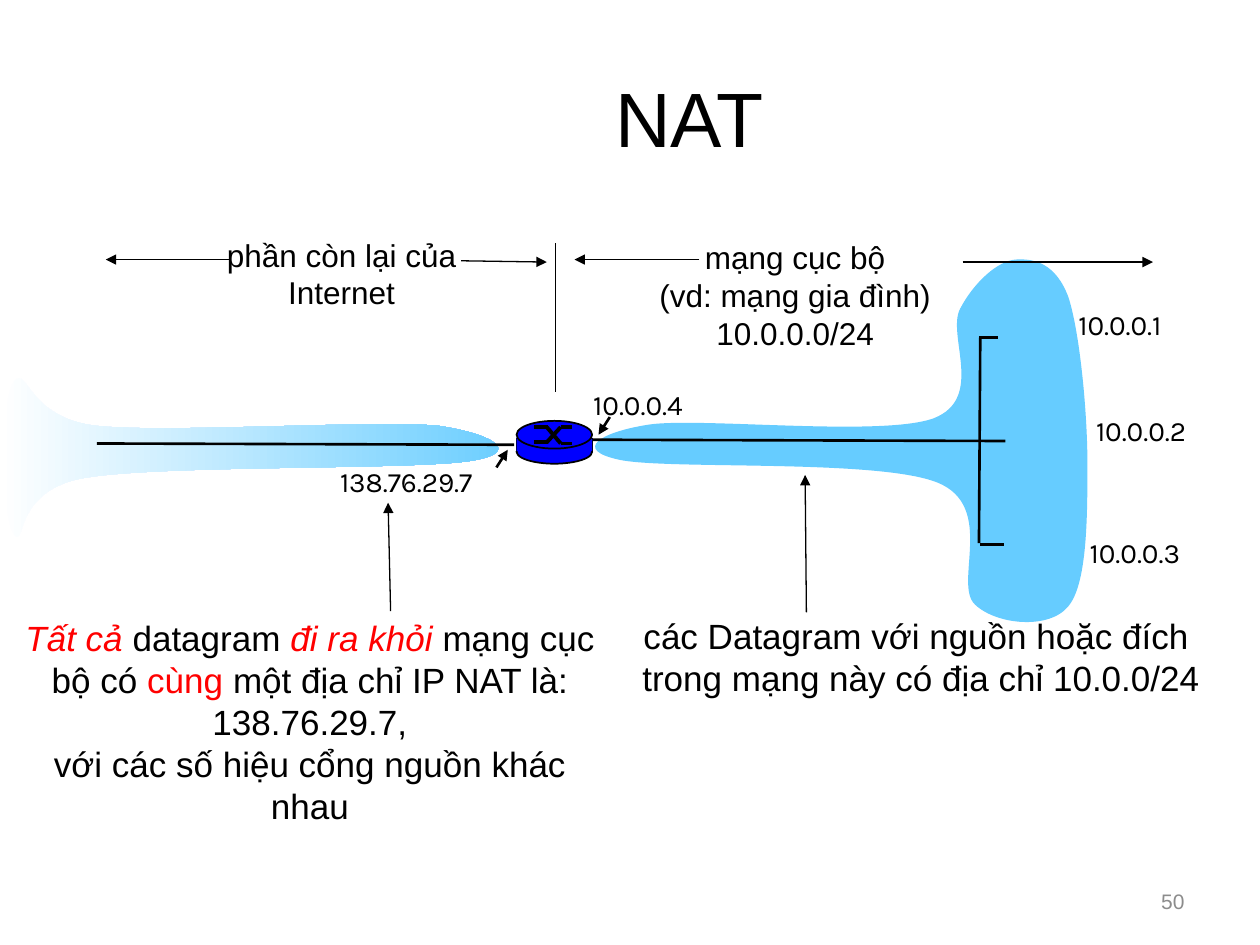
import pptx
import pptx.util
import pptx.dml.color
import pptx.enum.shapes
import pptx.enum.text
import pptx.oxml
import pptx.oxml.ns

SCALE = 9144
BLACK, RED, GRAY = "000000", "FF0000", "8C8C8C"
SKY, BLUE, WHITE = "66CCFF", "0000FF", "FFFFFF"
SHAPE = pptx.enum.shapes.MSO_SHAPE
ALIGN = pptx.enum.text.PP_ALIGN
MIDDLE = pptx.enum.text.MSO_ANCHOR.MIDDLE
GROW = pptx.enum.text.MSO_AUTO_SIZE.SHAPE_TO_FIT_TEXT


def emu(*sizes):
    return [size * SCALE for size in sizes]


def color(code):
    return pptx.dml.color.RGBColor.from_string(code)


def element(tag, extra=""):
    return pptx.oxml.parse_xml(f'<a:{tag} {pptx.oxml.ns.nsdecls("a")} {extra}/>')


class Sketch:
    font = "Arial"
    mono = "Karla"

    def __init__(self, deck):
        self.slide = deck.slides.add_slide(deck.slide_layouts[5])
        self.shapes = self.slide.shapes

    def style(self, para, size, font, code, align):
        para.alignment = align
        for run in para.runs:
            run.font.size = pptx.util.Pt(size)
            run.font.name = font
            run.font.color.rgb = color(code)

    def title(self, box, text):
        head = self.slide.shapes.title
        head.left, head.top, head.width, head.height = emu(*box)
        head.text_frame.text = text
        head.text_frame.vertical_anchor = MIDDLE
        self.style(head.text_frame.paragraphs[0], 44, self.font, BLACK, ALIGN.CENTER)

    def text(self, box, lines, size, font=font, code=BLACK, align=ALIGN.CENTER, wrap=False):
        frame = self.shapes.add_textbox(*emu(*box)).text_frame
        frame.word_wrap = wrap
        frame.auto_size = GROW
        frame.text = "\n".join(lines)
        for para in frame.paragraphs:
            self.style(para, size, font, code, align)
        return frame

    def label(self, x, y, width, text):
        self.text((x, y, width, 37), [text], 16, self.mono, align=ALIGN.LEFT)

    def number(self, box, text):
        frame = self.text(box, [text], 12, code=GRAY, align=ALIGN.RIGHT, wrap=True)
        frame.auto_size = pptx.enum.text.MSO_AUTO_SIZE.NONE
        frame.vertical_anchor = MIDDLE

    def rich(self, box, lines, size):
        frame = self.text(box, [""] * len(lines), size, wrap=True)
        for para, parts in zip(frame.paragraphs, lines):
            for words, code, slant in parts:
                run = para.add_run()
                run.text = words
                run.font.italic = slant
            self.style(para, size, self.font, BLACK, ALIGN.CENTER)
            for run, part in zip(para.runs, parts):
                run.font.color.rgb = color(part[1])

    def line(self, ends, width, tip=None):
        kind = pptx.enum.shapes.MSO_CONNECTOR.STRAIGHT
        link = self.shapes.add_connector(kind, *emu(*ends))
        link.line.color.rgb = color(BLACK)
        link.line.width = pptx.util.Pt(width)
        props = link._element.spPr
        if tip:
            props.find(pptx.oxml.ns.qn("a:ln")).append(element(tip, 'type="triangle"'))
        props.append(element("effectLst"))

    def solid(self, kind, box, code, width=0):
        item = self.shapes.add_shape(kind, *emu(*box))
        item.shadow.inherit = False
        item.fill.solid()
        item.fill.fore_color.rgb = color(code)
        if width:
            item.line.color.rgb = color(BLACK)
            item.line.width = pptx.util.Pt(width)
        else:
            item.line.fill.background()

    def cloud(self, start, bends, codes):
        points = [point for bend in bends for point in zip(bend[::2], bend[1::2])]
        outline = self.shapes.build_freeform(*start, scale=SCALE)
        outline.add_line_segments(points, close=True)
        item = outline.convert_to_shape()
        self.bend(item)
        item.shadow.inherit = False
        item.line.fill.background()
        if len(codes) == 1:
            item.fill.solid()
            item.fill.fore_color.rgb = color(codes[0])
            return
        item.fill.gradient()
        item.fill.gradient_angle = 0
        for stop, code, place in zip(item.fill.gradient_stops, codes, (0, 1)):
            stop.color.rgb = color(code)
            stop.position = place

    def bend(self, item):
        legs = list(item._element.iter(pptx.oxml.ns.qn("a:lnTo")))
        for first in range(0, len(legs), 3):
            cubic = element("cubicBezTo")
            legs[first].addprevious(cubic)
            for leg in legs[first:first + 3]:
                cubic.append(leg[0])
                leg.getparent().remove(leg)

    def router(self):
        self.shapes = self.slide.shapes.add_group_shape().shapes
        self.solid(SHAPE.OVAL, (410, 349, 60, 19), BLUE, 1)
        for x in (410, 470):
            self.line((x, 348, x, 359), 1)
        self.solid(SHAPE.RECTANGLE, (410, 347, 60, 11), BLUE)
        self.solid(SHAPE.OVAL, (410, 334, 60, 22), BLUE, 1)
        for near, far in ((339, 352), (351, 339)):
            self.line((424, near, 435, near), 2.25)
            self.line((445, far, 454, far), 2.25)
            self.line((434, near, 445, far), 2.25)
        self.shapes = self.slide.shapes


def main():
    deck = pptx.Presentation()
    deck.slide_width, deck.slide_height = emu(1000, 750)
    art = Sketch(deck)
    art.title((117, 30, 860, 125), "NAT")
    art.number((717, 695, 233, 40), "50")

    art.cloud((515, 337), [
        (556, 331, 700, 347, 741, 332), (782, 316, 751, 266, 762, 245),
        (773, 224, 792, 207, 806, 206), (821, 205, 838, 209, 848, 236),
        (857, 264, 863, 327, 863, 368), (863, 409, 863, 463, 848, 481),
        (833, 500, 791, 496, 774, 480), (756, 464, 791, 402, 744, 383),
        (697, 364, 531, 373, 492, 365), (454, 357, 476, 343, 515, 337)], [SKY])
    art.cloud((348, 338), [
        (299, 333, 133, 344, 77, 338), (21, 332, 22, 289, 11, 303),
        (0, 317, 1, 411, 11, 424), (21, 437, 9, 388, 69, 379),
        (129, 369, 325, 373, 372, 366), (418, 359, 389, 344, 348, 338)], [WHITE, SKY])

    for ends in ((467, 349, 798, 350), (778, 268, 777, 431),
                 (777, 268, 792, 268), (778, 432, 797, 432)):
        art.line(ends, 1.5)
    for x, y, width, name in ((846, 239, 98, "10.0.0.1"), (860, 323, 101, "10.0.0.2"),
                              (855, 420, 101, "10.0.0.3"), (461, 303, 101, "10.0.0.4"),
                              (260, 364, 142, "138.76.29.7")):
        art.label(x, y, width, name)
    art.line((484, 331, 475, 345), 1.5, "tailEnd")
    art.line((403, 357, 394, 371), 1.5, "headEnd")
    art.router()
    art.line((77, 352, 408, 353), 1.5)

    art.line((441, 193, 441, 311), 0.75)
    for ends in ((764, 208, 915, 208), (555, 206, 456, 206), (366, 207, 434, 208),
                 (182, 206, 84, 206), (310, 485, 308, 399), (640, 486, 639, 377)):
        art.line(ends, 0.75, "tailEnd")
    art.text((512, 184, 238, 101), ["mạng cục bộ", "(vd: mạng gia đình)", "10.0.0.0/24"], 18)
    art.text((169, 182, 204, 71), ["phần còn lại của", "Internet"], 18)
    art.text((492, 483, 478, 77), ["các Datagram với nguồn hoặc đích ",
                                   "trong mạng này có địa chỉ 10.0.0/24"], 20)
    art.rich((0, 484, 492, 178), [
        [("Tất cả ", RED, True), ("datagram ", BLACK, False), ("đi ra khỏi ", RED, True),
         ("mạng cục bộ có ", BLACK, False), ("cùng ", RED, False),
         ("một địa chỉ IP NAT là: 138.76.29.7,", BLACK, False)],
        [("với các số hiệu cổng nguồn khác nhau", BLACK, False)]], 20)
    deck.save("out.pptx")


if __name__ == "__main__":
    main()
